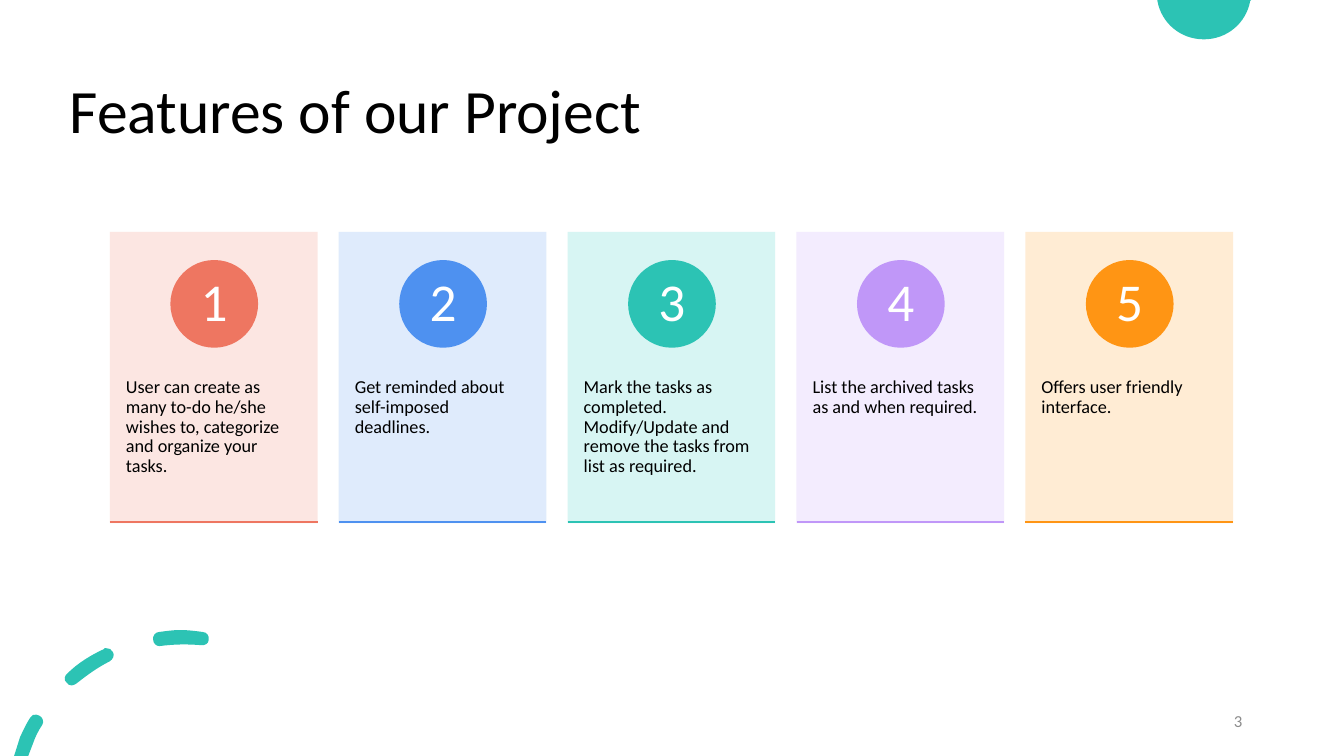
from dataclasses import dataclass

from lxml.etree import SubElement
from pptx import Presentation
from pptx.dml.color import RGBColor
from pptx.enum.shapes import MSO_CONNECTOR, MSO_SHAPE
from pptx.enum.text import MSO_ANCHOR, MSO_AUTO_SIZE, PP_ALIGN
from pptx.oxml.ns import qn
from pptx.shapes.autoshape import Shape
from pptx.shapes.shapetree import GroupShapes
from pptx.slide import Slide
from pptx.text.text import TextFrame
from pptx.util import Inches, Pt

FONT = "Calibri"
BLACK = RGBColor(0x00, 0x00, 0x00)
WHITE = RGBColor(0xFF, 0xFF, 0xFF)
GREY = RGBColor(0x8C, 0x8C, 0x8C)
CORAL = RGBColor(0xEE, 0x76, 0x61)
BLUE = RGBColor(0x4E, 0x91, 0xF0)
TEAL = RGBColor(0x2C, 0xC3, 0xB4)
VIOLET = RGBColor(0xC0, 0x97, 0xF8)
ORANGE = RGBColor(0xFF, 0x95, 0x14)
PALE_CORAL = RGBColor(0xFC, 0xE4, 0xDF)
PALE_BLUE = RGBColor(0xDC, 0xE9, 0xFC)
PALE_TEAL = RGBColor(0xD3, 0xF5, 0xF2)
PALE_VIOLET = RGBColor(0xF2, 0xEA, 0xFE)
PALE_ORANGE = RGBColor(0xFF, 0xEA, 0xD0)

GRID_LEFT, GRID_TOP = 1.09, 2.3
COLUMN_PITCH, CARD_WIDTH, CARD_HEIGHT = 2.27, 2.06, 2.89
BADGE_SIZE, BADGE_LEFT, BADGE_TOP = 0.87, 0.6, 0.28
TEXT_TOP, TEXT_HEIGHT = 1.09, 1.73
BASELINE_TOP = 2.88

Point = tuple[float, float]
Insets = tuple[float, float, float]


@dataclass(frozen=True)
class Feature:
    wording: str
    accent: RGBColor
    tint: RGBColor


@dataclass(frozen=True)
class Contour:
    start: Point
    segments: tuple[tuple[float, ...], ...]

    def vertices(self) -> list[tuple[int, int]]:
        return [(Inches(x), Inches(y)) for segment in self.segments
                for x, y in zip(segment[::2], segment[1::2])]


FEATURES = (
    Feature("User can create as many to-do he/she wishes to, categorize and organize your tasks.",
            CORAL, PALE_CORAL),
    Feature("Get reminded about self-imposed deadlines.", BLUE, PALE_BLUE),
    Feature("Mark the tasks as completed. Modify/Update and remove the tasks from list as required.",
            TEAL, PALE_TEAL),
    Feature("List the archived tasks as and when required.", VIOLET, PALE_VIOLET),
    Feature("Offers user friendly interface.", ORANGE, PALE_ORANGE),
)

HALF_DISC = (
    Contour((11.48, 0), ((12.41, 0), (12.4, 0.01), (12.36, 0.23, 12.17, 0.39, 11.94, 0.39),
                         (11.71, 0.39, 11.52, 0.23, 11.48, 0.01))),
)
DASHED_ARC = (
    Contour((0.36, 7.09), ((0.34, 7.08, 0.31, 7.1, 0.3, 7.12),
                           (0.26, 7.18, 0.23, 7.25, 0.2, 7.31),
                           (0.14, 7.5), (0.28, 7.5), (0.33, 7.37),
                           (0.35, 7.31, 0.38, 7.25, 0.42, 7.19),
                           (0.44, 7.16, 0.42, 7.11, 0.39, 7.1),
                           (0.38, 7.09, 0.37, 7.09, 0.36, 7.09))),
    Contour((1.05, 6.43), ((1.04, 6.43, 1.03, 6.43, 1.03, 6.44),
                           (0.9, 6.5, 0.77, 6.58, 0.67, 6.68),
                           (0.64, 6.7, 0.63, 6.75, 0.66, 6.77),
                           (0.67, 6.79, 0.69, 6.8, 0.71, 6.8),
                           (0.73, 6.8, 0.74, 6.79, 0.76, 6.78),
                           (0.86, 6.7, 0.97, 6.62, 1.09, 6.56),
                           (1.12, 6.54, 1.14, 6.5, 1.12, 6.47),
                           (1.11, 6.44, 1.08, 6.43, 1.05, 6.43))),
    Contour((1.79, 6.25), ((1.72, 6.25, 1.65, 6.26, 1.58, 6.27),
                           (1.54, 6.27, 1.51, 6.31, 1.52, 6.35),
                           (1.52, 6.38, 1.55, 6.41, 1.58, 6.41),
                           (1.73, 6.39, 1.86, 6.39, 1.99, 6.4),
                           (2.03, 6.41, 2.07, 6.38, 2.07, 6.35),
                           (2.08, 6.31, 2.05, 6.27, 2.01, 6.27),
                           (1.94, 6.26, 1.86, 6.25, 1.79, 6.25))),
)


def paint(shape: Shape, color: RGBColor) -> None:
    shape.shadow.inherit = False
    shape.fill.solid()
    shape.fill.fore_color.rgb = color
    shape.line.fill.background()


def write(frame: TextFrame, wording: str, size: float, color: RGBColor,
          align: PP_ALIGN = PP_ALIGN.LEFT, anchor: MSO_ANCHOR = MSO_ANCHOR.MIDDLE,
          insets: Insets = (0.1, 0.1, 0.05), spacing: float = 0.9) -> None:
    frame.word_wrap = True
    frame.auto_size = MSO_AUTO_SIZE.NONE
    frame.vertical_anchor = anchor
    frame.margin_left, frame.margin_right = Inches(insets[0]), Inches(insets[1])
    frame.margin_top = frame.margin_bottom = Inches(insets[2])
    para = frame.paragraphs[0]
    para.text = wording
    para.alignment = align
    para.line_spacing = spacing
    para.font.name = FONT
    para.font.size = Pt(size)
    para.font.color.rgb = color


def bend_segments(ornament: Shape, contours: tuple[Contour, ...]) -> None:
    outline = next(ornament.element.iter(qn("a:path")))
    lines = iter(outline.findall(qn("a:lnTo")))
    for contour in contours:
        for segment in contour.segments:
            pieces = [next(lines) for _ in range(len(segment) // 2)]
            if len(pieces) == 3:
                curve = SubElement(outline, qn("a:cubicBezTo"))
                pieces[0].addprevious(curve)
                for piece in pieces:
                    curve.append(piece[0])
                    outline.remove(piece)


def draw_ornament(page: Slide, contours: tuple[Contour, ...]) -> None:
    first_x, first_y = contours[0].start
    builder = page.shapes.build_freeform(Inches(first_x), Inches(first_y))
    for index, contour in enumerate(contours):
        if index:
            builder.move_to(Inches(contour.start[0]), Inches(contour.start[1]))
        builder.add_line_segments(contour.vertices())
    ornament = builder.convert_to_shape()
    bend_segments(ornament, contours)
    paint(ornament, TEAL)


def draw_baseline(shapes: GroupShapes, left: float, color: RGBColor) -> None:
    top = Inches(GRID_TOP + BASELINE_TOP)
    baseline = shapes.add_connector(MSO_CONNECTOR.STRAIGHT, Inches(left), top,
                                    Inches(left + CARD_WIDTH), top)
    baseline.line.color.rgb = color
    baseline.line.width = Pt(1)
    SubElement(baseline.element.spPr, qn("a:effectLst"))


def draw_feature(page: Slide, column: int, feature: Feature) -> None:
    shapes = page.shapes.add_group_shape().shapes
    left = GRID_LEFT + column * COLUMN_PITCH
    card = shapes.add_shape(MSO_SHAPE.RECTANGLE, Inches(left), Inches(GRID_TOP),
                            Inches(CARD_WIDTH), Inches(CARD_HEIGHT))
    paint(card, feature.tint)
    tint = card.element.spPr.find(qn("a:solidFill")).find(qn("a:srgbClr"))
    SubElement(tint, qn("a:alpha")).set("val", "90000")

    box = shapes.add_textbox(Inches(left), Inches(GRID_TOP + TEXT_TOP),
                             Inches(CARD_WIDTH), Inches(TEXT_HEIGHT))
    write(box.text_frame, feature.wording, 13, BLACK,
          anchor=MSO_ANCHOR.TOP, insets=(0.16, 0.2, 0.36))

    badge = shapes.add_shape(MSO_SHAPE.OVAL, Inches(left + BADGE_LEFT),
                             Inches(GRID_TOP + BADGE_TOP),
                             Inches(BADGE_SIZE), Inches(BADGE_SIZE))
    paint(badge, feature.accent)
    write(badge.text_frame, str(column + 1), 38, WHITE,
          align=PP_ALIGN.CENTER, insets=(0.07, 0.07, 0.01))
    draw_baseline(shapes, left, feature.accent)


def main() -> None:
    deck = Presentation()
    deck.slide_width, deck.slide_height = Inches(13.33), Inches(7.5)
    page = deck.slides.add_slide(deck.slide_layouts[5])

    title = page.shapes.title
    title.left, title.top = Inches(0.59), Inches(0.4)
    title.width, title.height = Inches(11.5), Inches(1.45)
    write(title.text_frame, "Features of our Project", 44, BLACK)

    for ornament in (HALF_DISC, DASHED_ARC):
        draw_ornament(page, ornament)
    for column, feature in enumerate(FEATURES):
        draw_feature(page, column, feature)

    number = page.shapes.add_textbox(Inches(9.42), Inches(6.95), Inches(3), Inches(0.4))
    write(number.text_frame, "3", 12, GREY, align=PP_ALIGN.RIGHT, spacing=1.0)
    deck.save("out.pptx")


if __name__ == "__main__":
    main()
